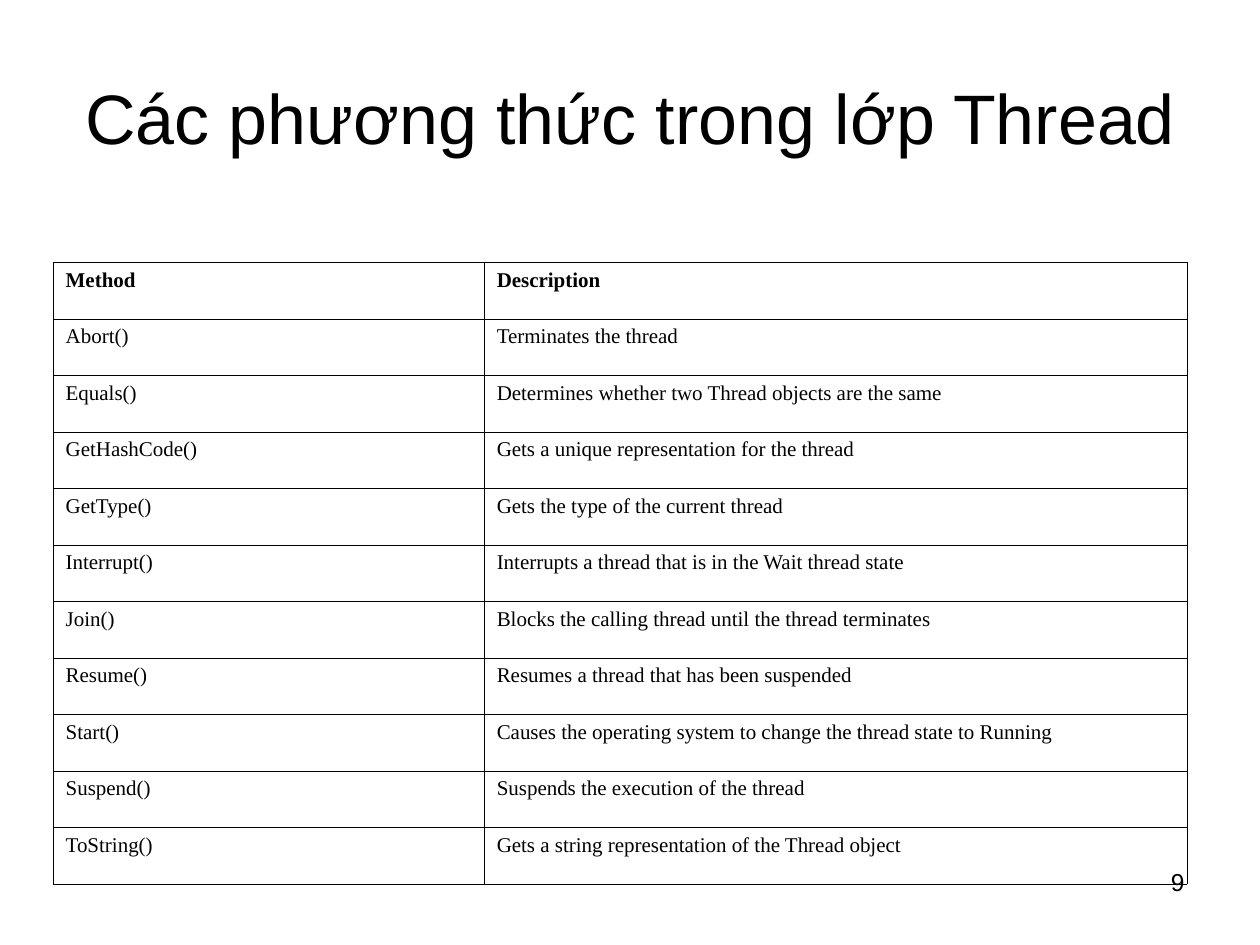
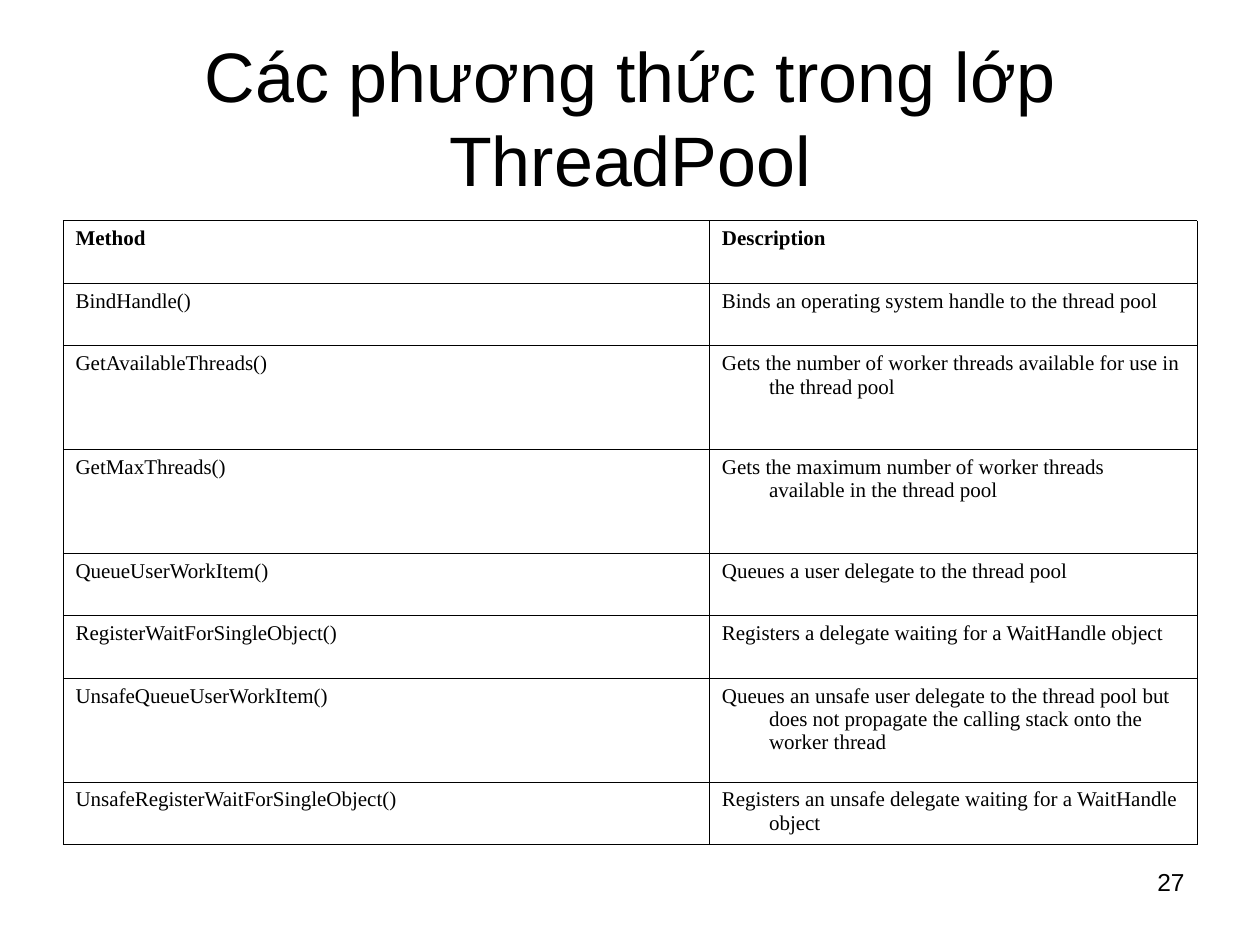
from lxml import etree
from pptx import Presentation
from pptx.dml.color import RGBColor
from pptx.enum.text import MSO_ANCHOR, MSO_AUTO_SIZE, PP_ALIGN
from pptx.oxml.ns import qn
from pptx.util import Cm, Pt

LEFT, CENTER, RIGHT = PP_ALIGN.LEFT, PP_ALIGN.CENTER, PP_ALIGN.RIGHT
MIDDLE = MSO_ANCHOR.MIDDLE
NO_AUTOFIT = MSO_AUTO_SIZE.NONE
TITLE_ONLY = 5
INK = "000000"
HEAD_FONT, TABLE_FONT = "Arial", "Times New Roman"
TITLE_BOX = (1.27, 0.76, 22.86, 3.18)
NUMBER_BOX = (18.21, 17.35, 5.92, 1.32)
BORDER = Pt(0.34)
HANGING = Cm(0.95)
ROW, SHORT, TALL = 1.14, 1.26, 2.09
HEADER = ("Method", "Description")

THREAD_METHODS = [
    ("Abort()", "Terminates the thread", ROW),
    ("Equals()", "Determines whether two Thread objects are the same", ROW),
    ("GetHashCode()", "Gets a unique representation for the thread", ROW),
    ("GetType()", "Gets the type of the current thread", ROW),
    ("Interrupt()", "Interrupts a thread that is in the Wait thread state", ROW),
    ("Join()", "Blocks the calling thread until the thread terminates", ROW),
    ("Resume()", "Resumes a thread that has been suspended", ROW),
    ("Start()", "Causes the operating system to change the thread state to Running", ROW),
    ("Suspend()", "Suspends the execution of the thread", ROW),
    ("ToString()", "Gets a string representation of the Thread object", ROW),
]
POOL_METHODS = [
    ("BindHandle()", "Binds an operating system handle to the thread pool", SHORT),
    ("GetAvailableThreads()",
     "Gets the number of worker threads available for use in the thread pool", TALL),
    ("GetMaxThreads()",
     "Gets the maximum number of worker threads available in the thread pool", TALL),
    ("QueueUserWorkItem()", "Queues a user delegate to the thread pool", SHORT),
    ("RegisterWaitForSingleObject()",
     "Registers a delegate waiting for a WaitHandle object", SHORT),
    ("UnsafeQueueUserWorkItem()",
     "Queues an unsafe user delegate to the thread pool but does not propagate "
     "the calling stack onto the worker thread", TALL),
    ("UnsafeRegisterWaitForSingleObject()",
     "Registers an unsafe delegate waiting for a WaitHandle object", SHORT),
]


def rgb(color):
    """Turn a hex string into a colour."""
    return RGBColor.from_string(color)


def write(tf, text, size, font=HEAD_FONT, color=INK, bold=False, align=LEFT):
    """Write one formatted paragraph and return it."""
    tf.word_wrap = True
    p = tf.paragraphs[0]
    p.alignment = align
    r = p.add_run()
    r.text = text
    r.font.size = Pt(size)
    r.font.name = font
    r.font.bold = bold
    r.font.color.rgb = rgb(color)
    return p


def set_borders(cell, color=INK):
    """Draw a thin line on all four sides of a cell."""
    tcPr = cell._tc.get_or_add_tcPr()
    for i, side in enumerate(("lnL", "lnR", "lnT", "lnB")):
        ln = etree.Element(qn(f"a:{side}"), w=str(BORDER))
        fill = etree.SubElement(ln, qn("a:solidFill"))
        etree.SubElement(fill, qn("a:srgbClr"), val=color)
        tcPr.insert(i, ln)


def add_title(s, text, box):
    """Move the title placeholder to its box and fill it."""
    sp = s.shapes.title
    sp.left, sp.top, sp.width, sp.height = map(Cm, box)
    tf = sp.text_frame
    tf.auto_size = NO_AUTOFIT
    tf.vertical_anchor = MIDDLE
    write(tf, text, 40, align=CENTER)


def add_method_table(s, left, top, widths, header_height, methods):
    """Add the table of methods with its header row."""
    rows = [(*HEADER, header_height), *methods]
    height = sum(row[-1] for row in rows)
    table = s.shapes.add_table(len(rows), len(widths), Cm(left), Cm(top),
                               Cm(sum(widths)), Cm(height)).table
    table.first_row = table.horz_banding = False
    for column, width in zip(table.columns, widths):
        column.width = Cm(width)
    for i, (*texts, row_height) in enumerate(rows):
        table.rows[i].height = Cm(row_height)
        for j, text in enumerate(texts):
            cell = table.cell(i, j)
            cell.fill.background()
            set_borders(cell)
            p = write(cell.text_frame, text, 12, font=TABLE_FONT, bold=i == 0)
            pPr = p._p.get_or_add_pPr()
            pPr.set("marL", str(HANGING))
            pPr.set("indent", str(-HANGING))


def add_number(s, number, box):
    """Add the slide number at the lower right."""
    sp = s.shapes.add_textbox(*map(Cm, box))
    write(sp.text_frame, str(number), 14, align=RIGHT)


def add_method_slide(prs, title, number, **table):
    """Add a slide with a title, a table of methods and a number."""
    s = prs.slides.add_slide(prs.slide_layouts[TITLE_ONLY])
    add_title(s, title, TITLE_BOX)
    add_method_table(s, **table)
    add_number(s, number, NUMBER_BOX)


def main():
    """Build and save both slides."""
    prs = Presentation()
    prs.slide_width, prs.slide_height = Cm(25.4), Cm(19.05)
    add_method_slide(prs, "Các phương thức trong lớp Thread", 9,
                     left=1.07, top=5.29, widths=(8.69, 14.17),
                     header_height=ROW, methods=THREAD_METHODS)
    add_method_slide(prs, "Các phương thức trong lớp ThreadPool", 27,
                     left=1.27, top=4.45, widths=(13.03, 9.83),
                     header_height=SHORT, methods=POOL_METHODS)
    prs.save("out.pptx")


if __name__ == "__main__":
    main()
